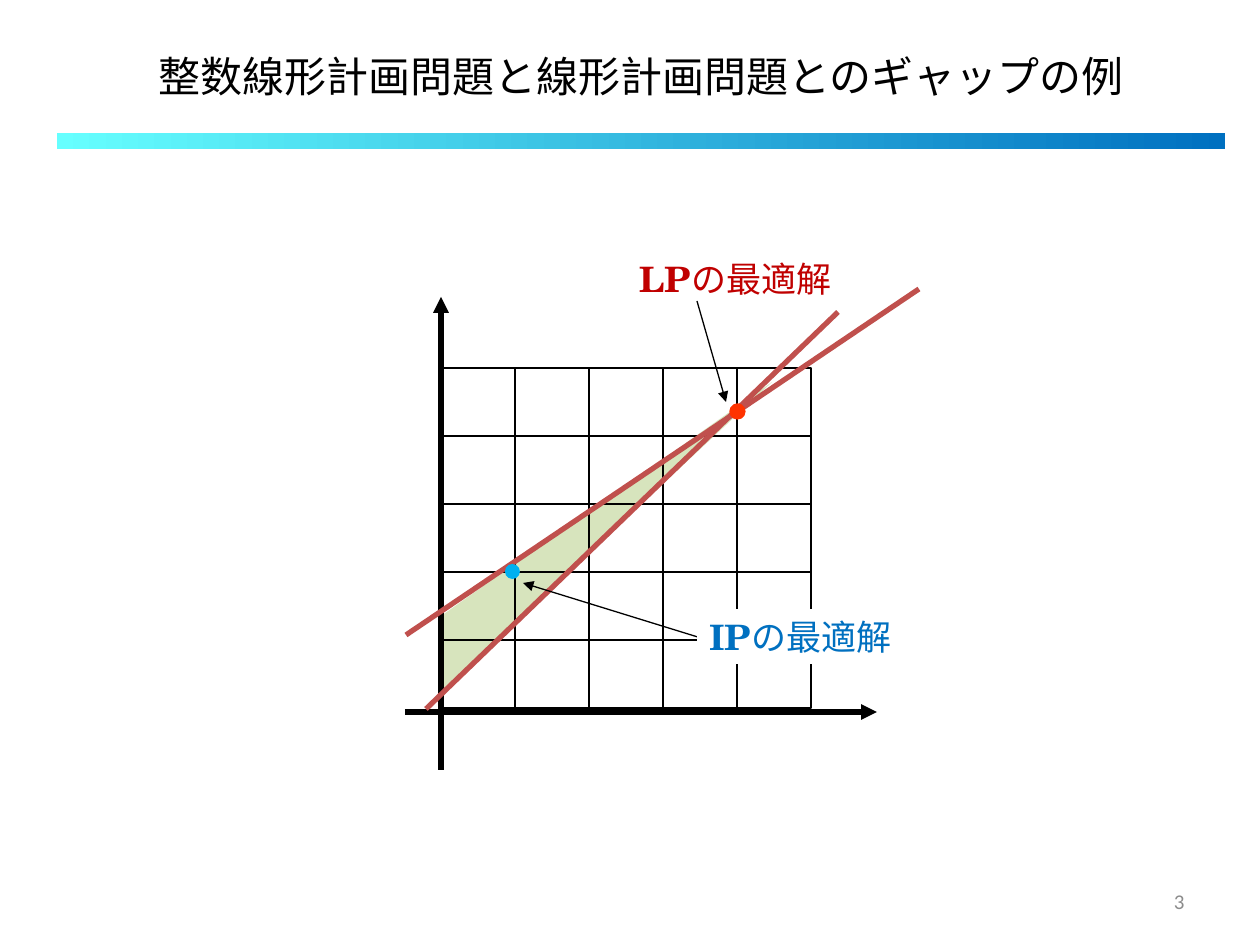
from dataclasses import dataclass

from lxml.etree import SubElement
from pptx import Presentation
from pptx.dml.color import RGBColor
from pptx.enum.shapes import MSO_CONNECTOR, MSO_SHAPE
from pptx.enum.text import MSO_ANCHOR, MSO_AUTO_SIZE, PP_ALIGN
from pptx.oxml.ns import qn
from pptx.util import Emu, Inches, Pt

PIXELS_PER_INCH = 126


@dataclass(frozen=True)
class Theme:
    black: str = "000000"
    white: str = "FFFFFF"
    bar_start: str = "66FFFF"
    bar_end: str = "0070C0"
    region: str = "D7E4BD"
    constraint: str = "C0504D"
    lp_dot: str = "FF3300"
    lp_text: str = "C00000"
    ip_dot: str = "00B0F0"
    ip_text: str = "0070C0"
    number: str = "8C8C8C"
    serif: str = "TeX Gyre Schola"
    sans: str = "Calibri"
    title_size: int = 24
    label_size: int = 20
    number_size: int = 12
    thick: float = 3
    thin: float = 0.75


THEME = Theme()


def px(pixels):
    return Emu(round(pixels * Inches(1) / PIXELS_PER_INCH))


def rgb(value):
    return RGBColor.from_string(value)


def set_font(font, name, size, color):
    font.name, font.size = name, Pt(size)
    font.color.rgb = rgb(color)


def add_shape(shapes, kind, left, top, width, height, fill=None, line=None):
    shape = shapes.add_shape(kind, px(left), px(top), px(width), px(height))
    paint(shape, fill, line)
    return shape


def paint(shape, fill, line=None):
    shape.shadow.inherit = False
    if fill:
        shape.fill.solid()
        shape.fill.fore_color.rgb = rgb(fill)
    else:
        shape.fill.background()
    if line:
        shape.line.color.rgb = rgb(line)
        shape.line.width = Pt(THEME.thin)
    else:
        shape.line.fill.background()


def add_line(shapes, start, end, color, width, arrow=False):
    connector = shapes.add_connector(
        MSO_CONNECTOR.STRAIGHT, *(px(value) for value in (*start, *end)))
    connector.line.color.rgb = rgb(color)
    connector.line.width = Pt(width)
    if arrow:
        SubElement(connector.line._get_or_add_ln(), qn("a:tailEnd"), type="triangle")
    SubElement(connector._element.spPr, qn("a:effectLst"))


def add_label(shapes, box, name, color, fill=None):
    """Name in bold, followed by the words for "optimal solution"."""
    label = add_shape(shapes, MSO_SHAPE.RECTANGLE, *box, fill=fill)
    frame = label.text_frame
    frame.word_wrap = True
    frame.auto_size = MSO_AUTO_SIZE.NONE
    frame.vertical_anchor = MSO_ANCHOR.TOP
    paragraph = frame.paragraphs[0]
    paragraph.alignment = PP_ALIGN.LEFT
    for text, bold in ((name, True), ("の最適解", False)):
        run = paragraph.add_run()
        run.text = text
        set_font(run.font, THEME.serif, THEME.label_size, color)
        run.font.bold = bold


def add_header(slide, left, top, width):
    # Title
    title = slide.shapes.title
    title.left, title.top = px(left + 84), px(top)
    title.width, title.height = px(1042), px(126)
    title.text_frame.text = "整数線形計画問題と線形計画問題とのギャップの例　"
    title.text_frame.vertical_anchor = MSO_ANCHOR.MIDDLE
    paragraph = title.text_frame.paragraphs[0]
    paragraph.alignment = PP_ALIGN.CENTER
    set_font(paragraph.font, THEME.serif, THEME.title_size, THEME.black)

    # Gradient bar
    bar = add_shape(slide.shapes, MSO_SHAPE.RECTANGLE, left, top + 120, width, 16)
    bar.fill.gradient()
    bar.fill.gradient_angle = 0
    for stop, color in zip(bar.fill.gradient_stops, (THEME.bar_start, THEME.bar_end)):
        stop.color.rgb = rgb(color)


def add_grid(shapes, left, top, cell_width, cell_height, count):
    cells = shapes.add_group_shape().shapes
    for row in range(count):
        for column in range(count):
            add_shape(cells, MSO_SHAPE.RECTANGLE, left + column * cell_width,
                      top + row * cell_height, cell_width, cell_height,
                      line=THEME.black)


def add_diagram(slide, left, top):
    shapes = slide.shapes

    def at(x, y):
        return left + x, top + y

    # Feasible region
    corners = [tuple(map(px, at(*corner))) for corner in ((36, 366), (367, 132), (37, 440))]
    builder = shapes.build_freeform(*corners[0], scale=1.0)
    builder.add_line_segments(corners[1:], close=True)
    paint(builder.convert_to_shape(), THEME.region)

    # Axes and grid
    for start, end in (((36, 520), (36, 47)), ((0, 462), (472, 462))):
        add_line(shapes, at(*start), at(*end), THEME.black, THEME.thick, arrow=True)
    add_grid(shapes, *at(36, 118), 74, 68, 5)

    # Constraint lines
    for start, end in (((1, 385), (514, 39)), ((21, 459), (433, 62))):
        add_line(shapes, at(*start), at(*end), THEME.constraint, THEME.thick)

    # Optimal points with pointers and labels
    optima = (
        ("LP", (325, 154), THEME.lp_dot, THEME.lp_dot, (292, 51), (321, 152),
         (222, 1), 219, THEME.lp_text, None),
        ("IP", (100, 314), THEME.ip_dot, None, (296, 388), (118, 333),
         (292, 359), 209, THEME.ip_text, THEME.white),
    )
    for name, dot, fill, line, start, end, corner, width, color, backing in optima:
        add_shape(shapes, MSO_SHAPE.OVAL, *at(*dot), 15, 15, fill, line)
        add_line(shapes, at(*start), at(*end), THEME.black, THEME.thin, arrow=True)
        add_label(shapes, (*at(*corner), width, 55), name, color, backing)


def add_slide_number(slide, left, top, width, height):
    box = slide.shapes.add_textbox(px(left), px(top), px(width), px(height))
    frame = box.text_frame
    frame.word_wrap = True
    frame.vertical_anchor = MSO_ANCHOR.MIDDLE
    frame.text = "3"
    paragraph = frame.paragraphs[0]
    paragraph.alignment = PP_ALIGN.RIGHT
    set_font(paragraph.font, THEME.sans, THEME.number_size, THEME.number)


presentation = Presentation()
presentation.slide_width, presentation.slide_height = px(1260), px(945)
slide = presentation.slides.add_slide(presentation.slide_layouts.get_by_name("Title Only"))
add_header(slide, 57, 13, 1168)
add_diagram(slide, 405, 250)
add_slide_number(slide, 903, 876, 294, 50)
presentation.save("out.pptx")
